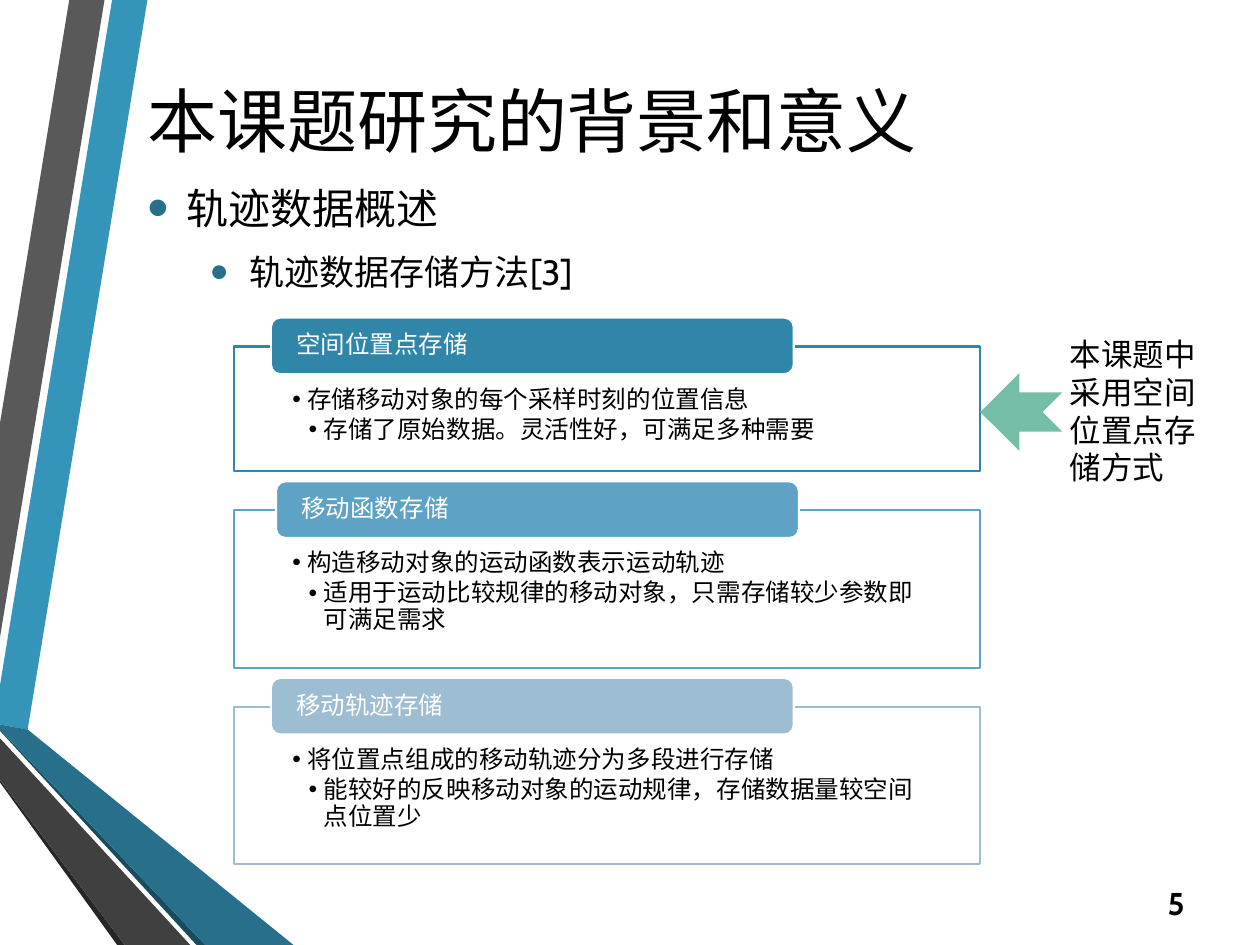
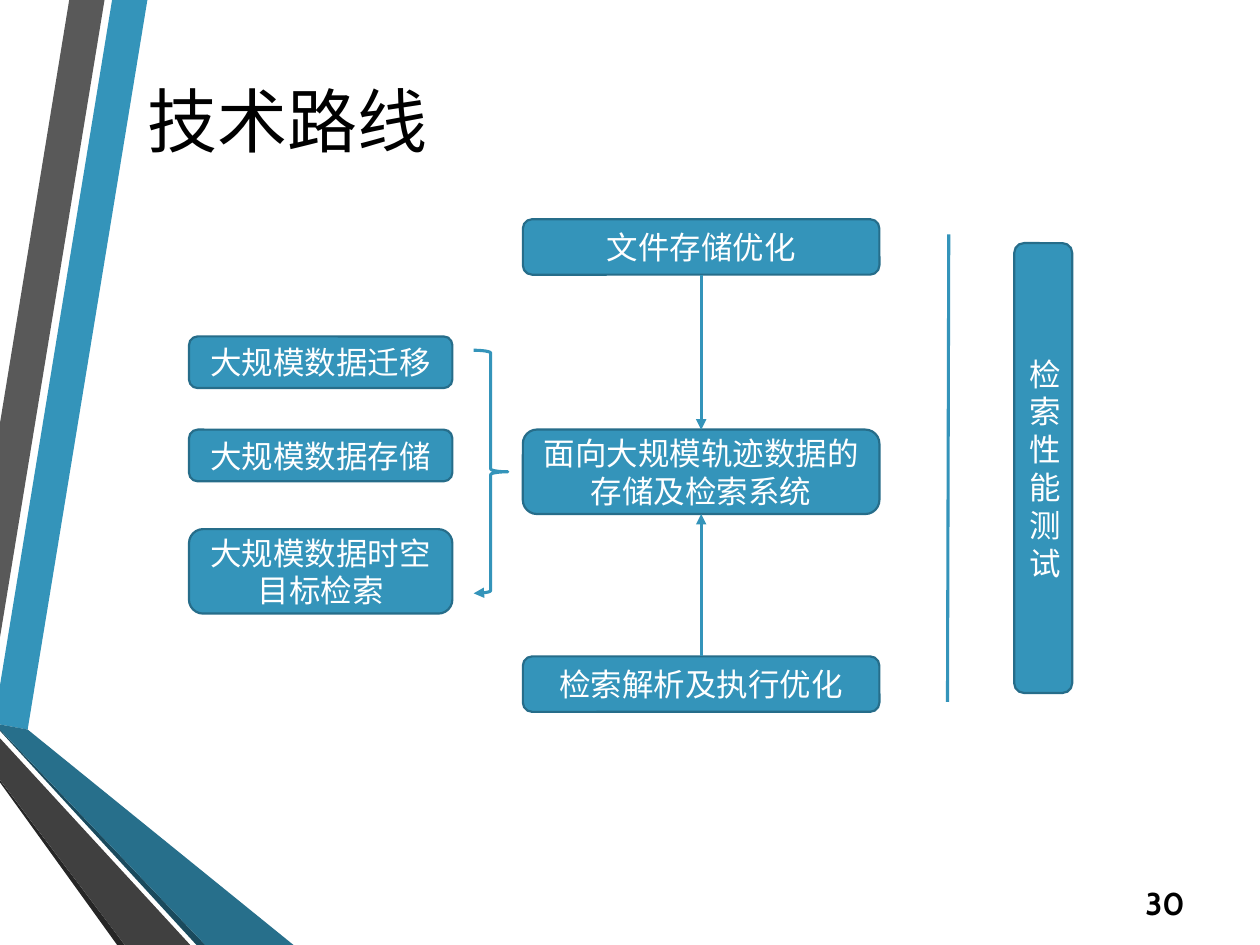
from lxml.etree import SubElement
from pptx import Presentation
from pptx.dml.color import RGBColor
from pptx.enum.shapes import MSO_CONNECTOR, MSO_SHAPE
from pptx.enum.text import MSO_ANCHOR, MSO_AUTO_SIZE, PP_ALIGN
from pptx.oxml.ns import qn
from pptx.util import Inches, Pt

FONT = "Cabin"
BLACK, WHITE = "000000", "FFFFFF"
BLUE, DEEP_BLUE, EDGE_BLUE = "3494BA", "276F8B", "266D8A"
color = RGBColor.from_string

deck = Presentation()
deck.slide_width, deck.slide_height = Inches(10), Inches(7.5)
CELL = deck.slide_width // 100


def add_block(page, kind, cells, fill=None, edge=None):
    place = [round(cell * CELL) for cell in cells]
    if kind is None:
        box = page.shapes.add_textbox(*place)
        box.text_frame.word_wrap = True
        return box
    box = page.shapes.add_shape(kind, *place)
    box.shadow.inherit = False
    if fill:
        box.fill.solid()
        box.fill.fore_color.rgb = color(fill)
    else:
        box.fill.background()
    if edge:
        box.line.color.rgb = color(edge)
        box.line.width = Pt(1.25)
    else:
        box.line.fill.background()
    return box


def write(frame, text, size, ink=BLACK, align=PP_ALIGN.LEFT, bullet=None):
    para = frame.paragraphs[0]
    if para.runs:
        para = frame.add_paragraph()
    para.alignment = align
    span = para.add_run()
    span.text = text
    span.font.name = FONT
    span.font.size = Pt(size)
    span.font.color.rgb = color(ink)
    if bullet:
        indent, hang, tint, percent = bullet
        props = para._p.get_or_add_pPr()
        props.set("marL", str(Inches(indent)))
        props.set("indent", str(-Inches(hang)))
        SubElement(SubElement(props, qn("a:buClr")), qn("a:srgbClr"), val=tint)
        SubElement(props, qn("a:buSzPct"), val=str(percent * 1000))
        SubElement(props, qn("a:buFont"), typeface="Arial")
        SubElement(props, qn("a:buChar"), char="•")
    return para


storage_page = deck.slides.add_slide(deck.slide_layouts[1])
route_page = deck.slides.add_slide(deck.slide_layouts[5])

bands = [
    (BLUE, [(0, 544), (0, 575), (22, 579), (117, 0), (89, 0)]),
    ("595959", [(83, 0), (55, 0), (0, 336), (0, 506)]),
    ("262626", [(0, 619), (0, 621), (93, 750), (99, 750)]),
    ("1A4A5D", [(0, 579), (0, 580), (156, 750), (163, 750)]),
    (DEEP_BLUE, [(0, 579), (163, 750), (233, 750), (22, 579), (0, 575)]),
    ("404040", [(0, 619), (99, 750), (151, 750), (0, 586)]),
]
master_tree = deck.slide_master.shapes.element
for index, (fill, points) in enumerate(bands):
    outline = storage_page.shapes.build_freeform(*points[0], scale=CELL / 10)
    outline.add_line_segments(points[1:], close=True)
    band = outline.convert_to_shape()
    band.shadow.inherit = False
    band.fill.solid()
    band.fill.fore_color.rgb = color(fill)
    band.line.fill.background()
    band.element.nvSpPr.cNvPr.set("id", str(20 + index))
    master_tree.insert(2 + index, band.element)

for page, heading, number in [
    (storage_page, "本课题研究的背景和意义", "5"),
    (route_page, "技术路线", "30"),
]:
    title = page.shapes.title
    title.left, title.top, title.width, title.height = [
        round(cell * CELL) for cell in (10.7, 5, 84.3, 9)
    ]
    title.text_frame.auto_size = MSO_AUTO_SIZE.NONE
    title.text_frame.vertical_anchor = MSO_ANCHOR.MIDDLE
    write(title.text_frame, heading, 40)
    footer = add_block(page, None, (89.3, 69.7, 5.7, 4))
    footer.text_frame.vertical_anchor = MSO_ANCHOR.MIDDLE
    para = write(footer.text_frame, number, 18, align=PP_ALIGN.RIGHT)
    para.runs[0].font.bold = True

body = storage_page.placeholders[1]
body.left, body.top, body.width, body.height = [
    round(cell * CELL) for cell in (10.7, 14, 84.3, 55.7)
]
body.text_frame.auto_size = MSO_AUTO_SIZE.NONE
for level, (text, size, indent) in enumerate([
    ("轨迹数据概述", 24, 0.31),
    ("轨迹数据存储方法[3]", 20, 0.81),
]):
    para = write(body.text_frame, text, size, bullet=(indent, 0.31, DEEP_BLUE, 145))
    para.level = level
    para.space_before = Pt(size * 0.2)
    para.space_after = Pt(6)

methods = [
    ("空间位置点存储", "2F86A9", 21.5, 9.9,
     ["存储移动对象的每个采样时刻的位置信息", "存储了原始数据。灵活性好，可满足多种需要"]),
    ("移动函数存储", "5EA3C5", 21.9, 12.5,
     ["构造移动对象的运动函数表示运动轨迹",
      "适用于运动比较规律的移动对象，只需存储较少参数即可满足需求"]),
    ("移动轨迹存储", "9CBDD2", 21.5, 12.5,
     ["将位置点组成的移动轨迹分为多段进行存储",
      "能较好的反映移动对象的运动规律，存储数据量较空间点位置少"]),
]
panel_top = 27.5
for name, tint, tab_left, panel_height, details in methods:
    panel = add_block(storage_page, MSO_SHAPE.RECTANGLE,
                      (18.6, panel_top, 59.2, panel_height), WHITE, tint)
    frame = panel.text_frame
    frame.vertical_anchor = MSO_ANCHOR.TOP
    frame.margin_left = frame.margin_right = Inches(0.46)
    frame.margin_top, frame.margin_bottom = Inches(0.32), Inches(0.11)
    for detail, indent in zip(details, (0.12, 0.25)):
        para = write(frame, detail, 14, bullet=(indent, 0.12, BLACK, 100))
        para.line_spacing = 0.9
        para.space_after = Pt(2.1)
    tab = add_block(storage_page, MSO_SHAPE.ROUNDED_RECTANGLE,
                    (tab_left, panel_top - 2.3, 41.5, 4.5), tint, WHITE)
    frame = tab.text_frame
    frame.margin_left = frame.margin_right = Inches(0.18)
    frame.margin_top = frame.margin_bottom = 0
    write(frame, name, 14, WHITE).line_spacing = 0.9
    panel_top += panel_height + 3.1

pointer = add_block(storage_page, MSO_SHAPE.NOTCHED_RIGHT_ARROW,
                    (77.8, 29.6, 6.5, 6.2), "75BDA7")
pointer.rotation = 180
choice = add_block(storage_page, None, (83.9, 26.1, 14.4, 13.1))
write(choice.text_frame, "本课题中采用空间位置点存储方式", 18)

steps = {}
for text, cells in [
    ("面向大规模轨迹数据的存储及检索系统", (41.5, 34.1, 28.3, 6.7)),
    ("大规模数据存储", (15, 34.1, 20.9, 4.1)),
    ("大规模数据迁移", (15, 26.7, 20.9, 4.1)),
    ("大规模数据时空目标检索", (15, 42, 20.9, 6.7)),
    ("文件存储优化", (41.5, 17.4, 28.3, 4.4)),
    ("检索解析及执行优化", (41.5, 52.1, 28.3, 4.4)),
    ("检索性能测试", (80.5, 19.3, 4.6, 35.7)),
]:
    step = add_block(route_page, MSO_SHAPE.ROUNDED_RECTANGLE, cells, BLUE, EDGE_BLUE)
    write(step.text_frame, text, 18, WHITE, PP_ALIGN.CENTER)
    steps[text] = step

brace = add_block(route_page, MSO_SHAPE.RIGHT_BRACE, (37.6, 27.8, 2.7, 19.3), edge=BLUE)
divider = route_page.shapes.add_connector(
    MSO_CONNECTOR.STRAIGHT, *[round(cell * CELL) for cell in (75.3, 18.6, 75.2, 55.7)]
)
arrows = []
system = steps["面向大规模轨迹数据的存储及检索系统"]
for source, start_side, end_side in [
    ("检索解析及执行优化", 0, 2),
    ("文件存储优化", 2, 0),
]:
    arrow = route_page.shapes.add_connector(MSO_CONNECTOR.STRAIGHT, 0, 0, 0, 0)
    arrow.begin_connect(steps[source], start_side)
    arrow.end_connect(system, end_side)
    arrows.append(arrow)

for stroke in [brace, divider, *arrows]:
    stroke.line.color.rgb = color(BLUE)
    stroke.line.width = Pt(1.75)
    props = stroke.element.spPr
    if stroke is not divider:
        SubElement(props.find(qn("a:ln")), qn("a:tailEnd"), type="triangle")
    if stroke is not brace:
        SubElement(props, qn("a:effectLst"))

deck.save("out.pptx")
